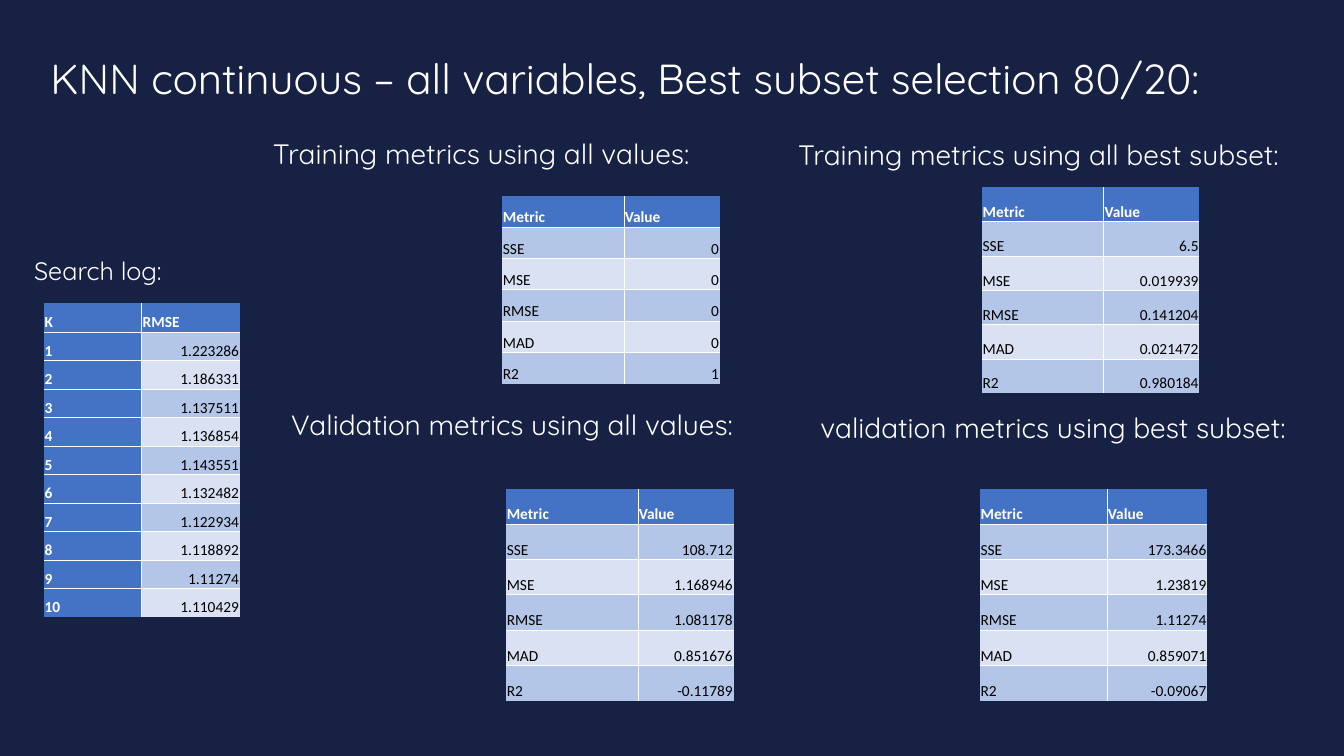
from lxml import etree
from pptx import Presentation
from pptx.dml.color import RGBColor
from pptx.enum.text import MSO_ANCHOR, PP_ALIGN
from pptx.oxml import parse_xml
from pptx.oxml.ns import nsdecls, qn
from pptx.util import Pt

LEFT, RIGHT = PP_ALIGN.LEFT, PP_ALIGN.RIGHT
TOP, BOTTOM = MSO_ANCHOR.TOP, MSO_ANCHOR.BOTTOM
NAVY, BLUE, WHITE, BLACK = "172144", "4472C4", "FFFFFF", "000000"
BANDS = ["B4C6E7", "D9E1F2"]
PLAIN = "{2D5ABB26-0587-4C30-8999-92F81FD0307C}"  # table style without grid


def paint(fill, hue):
    fill.solid()
    fill.fore_color.rgb = RGBColor.from_string(hue)


def write(frame, text, hue, align, **style):
    frame.text = text
    para = frame.paragraphs[0]
    para.alignment = align
    font = para.runs[0].font
    for key, val in style.items():
        setattr(font, key, val)
    font.color.rgb = RGBColor.from_string(hue)


deck = Presentation()
deck.slide_width, deck.slide_height = Pt(960), Pt(540)
slide = deck.slides.add_slide(deck.slide_layouts[5])
paint(slide.background.fill, NAVY)

# Title and headings: text, left, top, width, height, size, anchor, vertical inset
heads = [
    ("KNN continuous – all variables, Best subset selection 80/20:",
     28.8, 8.6, 878.4, 72, 30, BOTTOM, 7.2),
    ("Training metrics using all values:", 187.9, 99.4, 718.6, 29.5, 20, BOTTOM, 7.2),
    ("Training metrics using all best subset:", 563, 95, 794.2, 34.6, 20, BOTTOM, 7.2),
    ("Validation metrics using all values:", 200.9, 287.3, 655.9, 31.7, 20, TOP, 3.6),
    ("validation metrics using best subset:", 578.9, 289.4, 655.9, 31.7, 20, TOP, 3.6),
    ("Search log:", 17.3, 178.6, 679, 28.8, 18, TOP, 3.6),
]
for i, (text, x, y, w, h, size, anchor, inset) in enumerate(heads):
    box = slide.shapes.title if i == 0 else slide.shapes.add_textbox(0, 0, 0, 0)
    box.left, box.top, box.width, box.height = Pt(x), Pt(y), Pt(w), Pt(h)
    frame = box.text_frame
    form = {"word_wrap": True, "vertical_anchor": anchor,
            "margin_left": Pt(7.2), "margin_right": Pt(7.2),
            "margin_top": Pt(inset), "margin_bottom": Pt(inset)}
    for key, val in form.items():
        setattr(frame, key, val)
    write(frame, text, WHITE, LEFT, name="Quicksand", size=Pt(size))

# Tables: left, top, column widths, row height, header, row names, values
METRIC = ("Metric", "Value")
names = ["SSE", "MSE", "RMSE", "MAD", "R2"]
ranks = [str(k) for k in range(1, 11)]
grids = [
    (361.4, 349.2, (94.3, 68.4), 25.2, METRIC, names,
     ["108.712", "1.168946", "1.081178", "0.851676", "-0.11789"]),
    (358.6, 139.7, (87.1, 68.4), 22.4, METRIC, names, ["0", "0", "0", "0", "1"]),
    (699.8, 349.2, (91, 71.6), 25.2, METRIC, names,
     ["173.3466", "1.23819", "1.11274", "0.859071", "-0.09067"]),
    (701.3, 133.9, (87.1, 68.4), 24.5, METRIC, names,
     ["6.5", "0.019939", "0.141204", "0.021472", "0.980184"]),
    (31.2, 216.7, (70.1, 70.1), 20.36, ("K", "RMSE"), ranks,
     ["1.223286", "1.186331", "1.137511", "1.136854", "1.143551",
      "1.132482", "1.122934", "1.118892", "1.11274", "1.110429"]),
]
for x, y, wide, high, header, keys, vals in grids:
    rows = [header, *zip(keys, vals)]
    last = len(rows) - 1
    table = slide.shapes.add_table(len(rows), 2, Pt(x), Pt(y), Pt(sum(wide)),
                                   Pt(high * len(rows))).table
    table.first_row = table.horz_banding = False
    next(table._tbl.iter(qn("a:tableStyleId"))).text = PLAIN
    for col, w in zip(table.columns, wide):
        col.width = Pt(w)
    for r, row in enumerate(rows):
        table.rows[r].height = Pt(high)
        for c, text in enumerate(row):
            cell = table.cell(r, c)
            form = {"margin_left": Pt(0.6), "margin_right": Pt(0.6),
                    "margin_top": Pt(0.6), "margin_bottom": 0,
                    "vertical_anchor": BOTTOM}
            for key, val in form.items():
                setattr(cell, key, val)
            # White rules only between cells
            inner = {"lnL": c == 1, "lnR": c == 0, "lnT": r > 0, "lnB": r < last}
            for side, shown in inner.items():
                if shown:
                    line = parse_xml(f'<a:{side} {nsdecls("a")} w="6350"/>')
                    solid = etree.SubElement(line, qn("a:solidFill"))
                    etree.SubElement(solid, qn("a:srgbClr"), val=WHITE)
                    cell._tc.get_or_add_tcPr().append(line)
            head = r == 0 or (c == 0 and keys is ranks)
            paint(cell.fill, BLUE if head else BANDS[(r - 1) % 2])
            write(cell.text_frame, text, WHITE if head else BLACK,
                  RIGHT if r and c else LEFT,
                  name="Calibri", size=Pt(11), bold=head)

deck.save("out.pptx")
